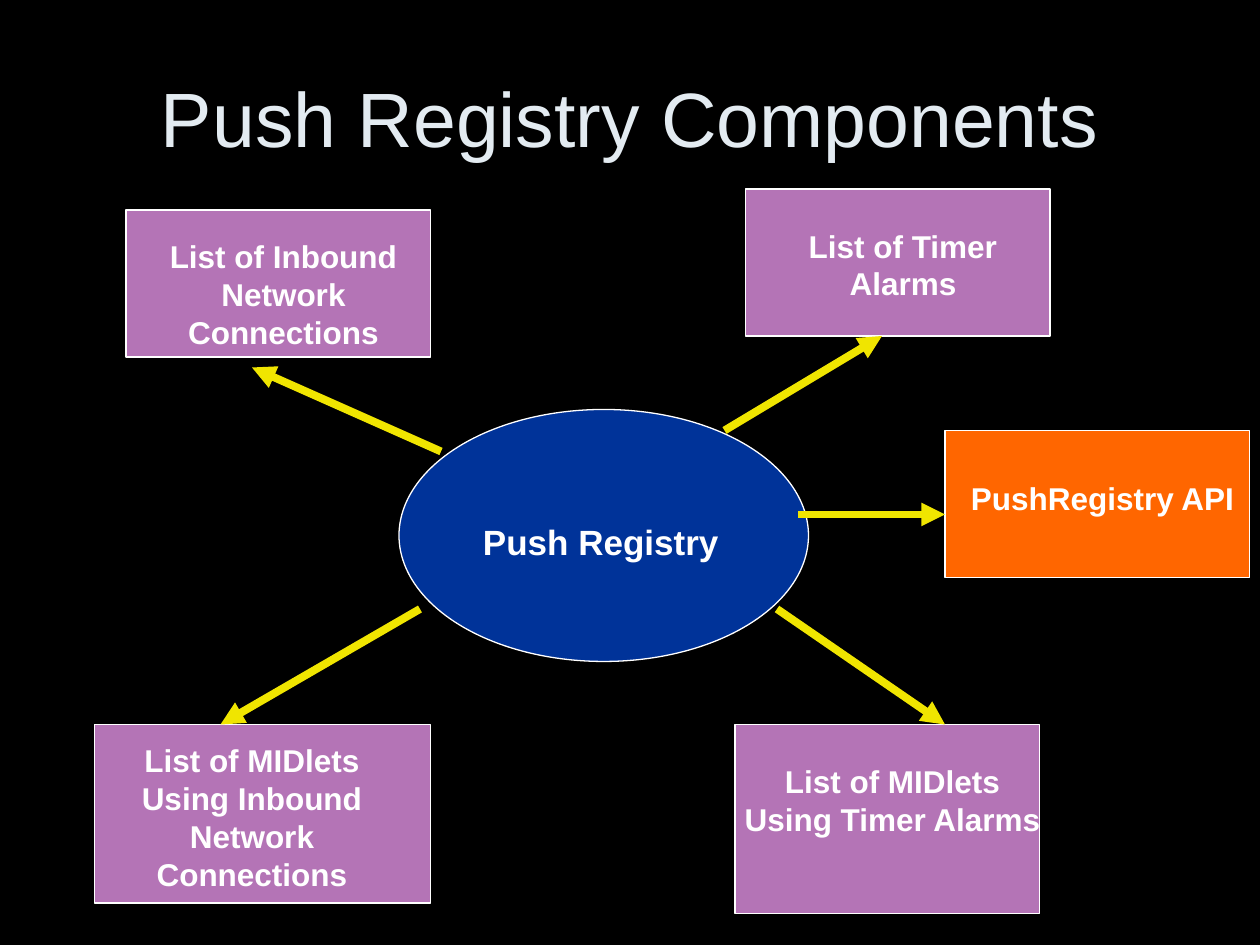
from lxml.etree import SubElement
from pptx import Presentation
from pptx.dml.color import RGBColor
from pptx.enum.shapes import MSO_CONNECTOR, MSO_SHAPE
from pptx.enum.text import MSO_ANCHOR, PP_ALIGN
from pptx.oxml.ns import qn
from pptx.util import Pt

BLACK, WHITE, TITLE = "000000", "FFFFFF", "E3EBF1"
BLUE, PURPLE, ORANGE, YELLOW = "003399", "B474B6", "FF6600", "F0E500"

# Places are (left, top, width, height) in points
title = ("Push Registry Components", (36, 21.6, 648, 90))
registry = ("Push Registry", (228, 234, 234, 144), (252, 294, 186, 32))

# Label, fill, box place, label place
components = [
    ("List of Inbound Network Connections", PURPLE,
     (72, 120, 174, 84), (72, 132, 180, 72)),
    ("List of MIDlets Using Timer Alarms", PURPLE,
     (420, 414, 174, 108), (414, 432, 192, 50)),
    ("List of MIDlets Using Inbound Network Connections", PURPLE,
     (54, 414, 192, 102), (48, 420, 192, 94)),
    ("List of Timer Alarms", PURPLE,
     (426, 108, 174, 84), (426, 126, 180, 50)),
    ("PushRegistry API", ORANGE,
     (540, 246, 174, 84), (540, 270, 180, 29)),
]

# Start and end of each arrow out of the registry
arrows = [
    ((252, 258), (144, 210)),
    ((456, 294), (540, 294)),
    ((414, 246), (504, 192)),
    ((444, 348), (540, 414)),
    ((240, 348), (126, 414)),
]


def color(hex_code):
    return RGBColor.from_string(hex_code)


def points(values):
    return [Pt(value) for value in values]


def add_text(text, place, size=18, fill=WHITE, bold=True,
             align=PP_ALIGN.CENTER, anchor=MSO_ANCHOR.TOP, inset=7.2):
    frame = slide.shapes.add_textbox(*points(place)).text_frame
    frame.word_wrap = True
    frame.vertical_anchor = anchor
    frame.margin_left = Pt(inset)
    paragraph = frame.paragraphs[0]
    paragraph.alignment = align
    run = paragraph.add_run()
    run.text = text
    run.font.name = "Arial"
    run.font.size = Pt(size)
    run.font.bold = bold
    run.font.color.rgb = color(fill)


def add_box(preset, place, fill):
    box = slide.shapes.add_shape(preset, *points(place))
    box.shadow.inherit = False
    box.fill.solid()
    box.fill.fore_color.rgb = color(fill)
    box.line.color.rgb = color(WHITE)
    box.line.width = Pt(0.75)


def add_arrow(start, end):
    arrow = slide.shapes.add_connector(MSO_CONNECTOR.STRAIGHT, *points(start + end))
    arrow.line.color.rgb = color(YELLOW)
    arrow.line.width = Pt(4.5)
    SubElement(arrow.line._get_or_add_ln(), qn("a:tailEnd"), type="triangle")
    SubElement(arrow._element.spPr, qn("a:effectLst"))


presentation = Presentation()
presentation.slide_width, presentation.slide_height = Pt(720), Pt(540)
slide = presentation.slides.add_slide(presentation.slide_layouts[6])
slide.background.fill.solid()
slide.background.fill.fore_color.rgb = color(BLACK)

# Title
add_text(*title, size=44, fill=TITLE, bold=False, anchor=MSO_ANCHOR.MIDDLE)

# Registry in the centre
name, oval_place, name_place = registry
add_box(MSO_SHAPE.OVAL, oval_place, BLUE)
add_text(name, name_place, size=20, align=PP_ALIGN.LEFT, inset=24)

# Components around it
for label, fill, box_place, label_place in components:
    add_box(MSO_SHAPE.RECTANGLE, box_place, fill)
    add_text(label, label_place)

# Arrows to the components
for start, end in arrows:
    add_arrow(start, end)

presentation.save("out.pptx")
